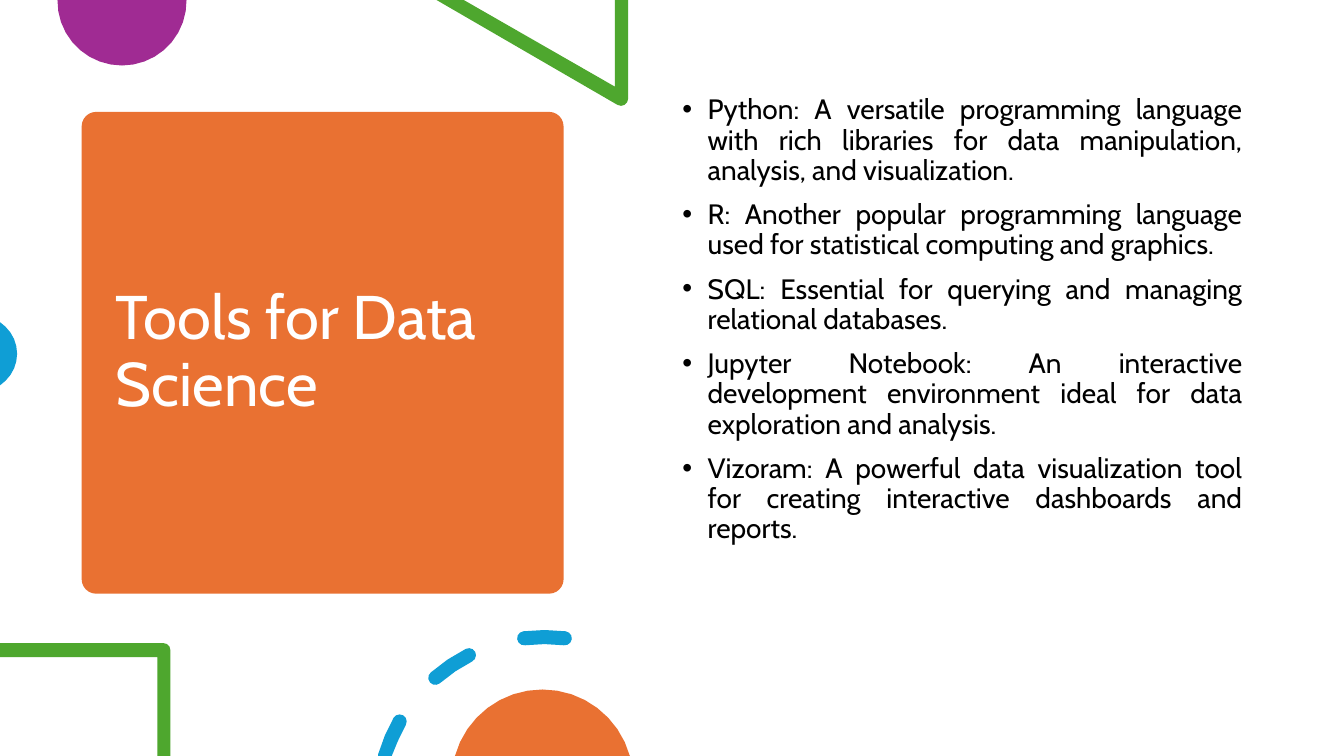
from math import cos, radians, sin

from lxml import etree
from pptx import Presentation
from pptx.dml.color import RGBColor
from pptx.enum.shapes import MSO_SHAPE
from pptx.enum.text import MSO_ANCHOR, MSO_AUTO_SIZE, PP_ALIGN
from pptx.oxml.ns import qn
from pptx.util import Pt

PX = 9144
SLIDE_WIDTH, SLIDE_HEIGHT = 1333, 750
TITLE_ONLY = 5
FONT = "Cabin"

WHITE = RGBColor(0xFF, 0xFF, 0xFF)
BLACK = RGBColor(0x00, 0x00, 0x00)
ORANGE = RGBColor(0xE9, 0x71, 0x32)
PURPLE = RGBColor(0xA0, 0x2B, 0x93)
GREEN = RGBColor(0x4E, 0xA7, 0x2E)
BLUE = RGBColor(0x0F, 0x9E, 0xD5)

HEADING = "Tools for Data Science"
TOOLS = [
    "Python: A versatile programming language with rich libraries for data manipulation, analysis, and visualization.",
    "R: Another popular programming language used for statistical computing and graphics.",
    "SQL: Essential for querying and managing relational databases.",
    "Jupyter Notebook: An interactive development environment ideal for data exploration and analysis.",
    "Vizoram: A powerful data visualization tool for creating interactive dashboards and reports.",
]

RING_CENTRE, RING_RADIUS, DASH_RADIUS = (540, 797), 165, 7
DASH_ANGLES = [(196.5, 209.5), (229, 243), (263, 277)]


def polar(centre, radius, angle):
    return (centre[0] + radius * cos(radians(angle)),
            centre[1] + radius * sin(radians(angle)))


def arc(centre, radius, start, end, steps):
    return [polar(centre, radius, start + (end - start) * step / steps)
            for step in range(steps + 1)]


def dash(start, end):
    first = polar(RING_CENTRE, RING_RADIUS, start)
    last = polar(RING_CENTRE, RING_RADIUS, end)
    return (arc(RING_CENTRE, RING_RADIUS + DASH_RADIUS, start, end, 2)
            + arc(last, DASH_RADIUS, end, end + 180, 6)[1:-1]
            + arc(RING_CENTRE, RING_RADIUS - DASH_RADIUS, end, start, 2)
            + arc(first, DASH_RADIUS, start + 180, start + 360, 6)[1:-1])


def paint(shape, color):
    shape.fill.solid()
    shape.fill.fore_color.rgb = color
    shape.line.fill.background()
    shape.shadow.inherit = False


def place(shape, left, top, width, height):
    shape.left, shape.top = left * PX, top * PX
    shape.width, shape.height = width * PX, height * PX


def within_slide(x, y):
    return (min(max(x, 0), SLIDE_WIDTH) * PX, min(max(y, 0), SLIDE_HEIGHT) * PX)


def add_outline(slide, color, *contours):
    builder = None
    for contour in contours:
        first, *others = [within_slide(x, y) for x, y in contour]
        if builder is None:
            builder = slide.shapes.build_freeform(*first)
        else:
            builder.move_to(*first)
        builder.add_line_segments(others, close=True)
    paint(builder.convert_to_shape(), color)


def style(paragraph, size, color, alignment):
    paragraph.font.name = FONT
    paragraph.font.size = Pt(size)
    paragraph.font.color.rgb = color
    paragraph.alignment = alignment
    paragraph.line_spacing = 0.9


def add_heading_card(slide):
    card = slide.shapes.add_shape(
        MSO_SHAPE.ROUNDED_RECTANGLE, 81 * PX, 111 * PX, 478 * PX, 478 * PX)
    card.adjustments[0] = 0.03
    paint(card, ORANGE)
    title = slide.shapes.title
    title.element.addprevious(card.element)
    place(title, 105, 122, 431, 456)
    frame = title.text_frame
    frame.text = HEADING
    frame.word_wrap = True
    frame.auto_size = MSO_AUTO_SIZE.NONE
    frame.vertical_anchor = MSO_ANCHOR.MIDDLE
    style(frame.paragraphs[0], 44, WHITE, PP_ALIGN.LEFT)


def add_bullet(paragraph):
    properties = paragraph._p.get_or_add_pPr()
    properties.set("marL", str(25 * PX))
    properties.set("indent", str(-25 * PX))
    bullet_font = etree.Element(qn("a:buFont"), typeface="Arial")
    bullet = etree.Element(qn("a:buChar"), char="•")
    text_defaults = properties.find(qn("a:defRPr"))
    text_defaults.addprevious(bullet_font)
    text_defaults.addprevious(bullet)


def add_tool_list(slide):
    frame = slide.shapes.add_textbox(667 * PX, 90 * PX, 575 * PX, 535 * PX).text_frame
    frame.word_wrap = True
    frame.text = "\n".join(TOOLS)
    for paragraph in frame.paragraphs:
        style(paragraph, 20, BLACK, PP_ALIGN.JUSTIFY)
        paragraph.space_before = Pt(10)
        add_bullet(paragraph)


def main():
    deck = Presentation()
    deck.slide_width, deck.slide_height = SLIDE_WIDTH * PX, SLIDE_HEIGHT * PX
    slide = deck.slides.add_slide(deck.slide_layouts[TITLE_ONLY])

    add_heading_card(slide)
    add_outline(slide, PURPLE, arc((121, 1), 64, -1, 181, 18))
    triangle = [(623, 0), (610, 0), (610, 86), (460, 0), (433, 0)]
    add_outline(slide, GREEN, triangle + arc((616, 98), 7, 120, 0, 4))
    add_outline(slide, BLUE, arc((-20, 351), 37, -58, 58, 10))
    add_tool_list(slide)
    corner = [(169, 750), (156, 750), (156, 652), (0, 652), (0, 638)]
    add_outline(slide, GREEN, corner + arc((162, 645), 7, 270, 360, 3))
    add_outline(slide, BLUE, *[dash(start, end) for start, end in DASH_ANGLES])
    add_outline(slide, ORANGE, arc((538, 774), 90, 195.5, 344.5, 16))

    deck.save("out.pptx")


if __name__ == "__main__":
    main()
